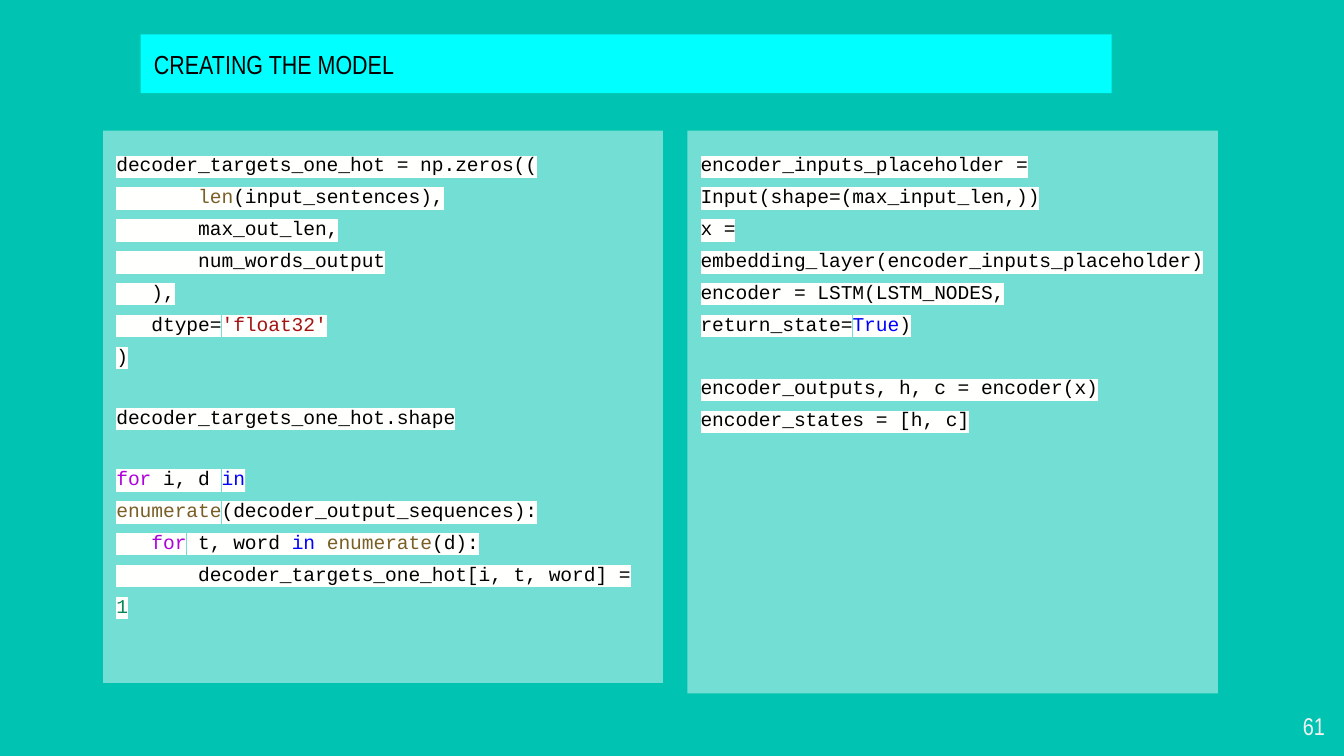
import pptx
import pptx.dml.color
import pptx.enum.shapes
import pptx.enum.text
import pptx.util
from lxml import etree
from pptx.oxml.ns import qn

Cm = pptx.util.Cm
Pt = pptx.util.Pt
ANCHOR = pptx.enum.text.MSO_ANCHOR
ALIGN = pptx.enum.text.PP_ALIGN

COLORS = {
    "background": "00C3B1", "banner": "00FFFF", "panel": "FFFFFF",
    "highlight": "FFFFFE", "number": "F3F3F3", "text": "000000",
    "function": "795E26", "string": "A31515", "loop": "AF00DB",
    "keyword": "0000FF", "literal": "09885A",
}
HEADING_FONT = "Arial Narrow"
CODE_FONT = "Courier New"

# Each block is a list of lines; a line is a string or a list of pieces,
# and a piece is a string or a (string, colour key) pair.
DECODER_BLOCKS = [
    [
        "decoder_targets_one_hot = np.zeros((",
        ["       ", ("len", "function"), "(input_sentences),"],
        "       max_out_len,",
        "       num_words_output",
        "   ),",
        ["   dtype=", ("'float32'", "string")],
        ")",
    ],
    ["decoder_targets_one_hot.shape"],
    [
        [("for", "loop"), " i, d ", ("in", "keyword"), " ",
         ("enumerate", "function"), "(decoder_output_sequences):"],
        ["   ", ("for", "loop"), " t, word ", ("in", "keyword"), " ",
         ("enumerate", "function"), "(d):"],
        ["       decoder_targets_one_hot[i, t, word] = ", ("1", "literal")],
    ],
]
ENCODER_BLOCKS = [
    [
        "encoder_inputs_placeholder = Input(shape=(max_input_len,))",
        "x = embedding_layer(encoder_inputs_placeholder)",
        ["encoder = LSTM(LSTM_NODES, return_state=", ("True", "keyword"), ")"],
    ],
    [
        "encoder_outputs, h, c = encoder(x)",
        "encoder_states = [h, c]",
    ],
]


def rgb(key):
    return pptx.dml.color.RGBColor.from_string(COLORS[key])


def set_frame(tf, anchor):
    tf.word_wrap = True
    tf.vertical_anchor = anchor
    tf.margin_left = tf.margin_right = Cm(0.25)
    tf.margin_top = tf.margin_bottom = Cm(0.25)


def add_rect(slide, box, color):
    sp = slide.shapes.add_shape(
        pptx.enum.shapes.MSO_SHAPE.RECTANGLE, *map(Cm, box))
    sp.shadow.inherit = False
    sp.fill.solid()
    sp.fill.fore_color.rgb = rgb(color)
    sp.line.fill.background()
    return sp


def set_label(sp, text, size, color, align):
    set_frame(sp.text_frame, ANCHOR.MIDDLE)
    p = sp.text_frame.paragraphs[0]
    p.text = text
    p.alignment = align
    font = p.runs[0].font
    font.size = Pt(size)
    font.name = HEADING_FONT
    font.color.rgb = rgb(color)


def add_code_run(p, text, color):
    r = p.add_run()
    r.text = text
    r.font.size = Pt(10.5)
    r.font.color.rgb = rgb(color)
    highlight = etree.SubElement(r.font._element, qn("a:highlight"))
    etree.SubElement(highlight, qn("a:srgbClr"), val=COLORS["highlight"])
    r.font.name = CODE_FONT


def add_title(slide, box):
    sp = add_rect(slide, box, "banner")
    set_label(sp, "CREATING THE MODEL", 14, "text", ALIGN.LEFT)


def add_code_panel(slide, box, blocks, gap):
    """Place a translucent panel of code, with gap points between blocks."""
    sp = add_rect(slide, box, "panel")
    fill = sp._element.spPr.find(qn("a:solidFill"))
    etree.SubElement(fill[0], qn("a:alpha"), val="45000")
    tf = sp.text_frame
    set_frame(tf, ANCHOR.TOP)
    p = None
    for block in blocks:
        for i, line in enumerate(block):
            first = p is None
            p = tf.paragraphs[0] if first else tf.add_paragraph()
            p.alignment = ALIGN.LEFT
            p.line_spacing = 1.36
            p.space_before = Pt(gap if i == 0 and not first else 0)
            for piece in [line] if isinstance(line, str) else line:
                text, color = (piece, "text") if isinstance(piece, str) else piece
                add_code_run(p, text, color)


def add_slide_number(slide, box):
    sp = slide.shapes.add_textbox(*map(Cm, box))
    set_label(sp, "61", 13, "number", ALIGN.RIGHT)


def main():
    prs = pptx.Presentation()
    prs.slide_width, prs.slide_height = Cm(25.4), Cm(14.29)
    slide = prs.slides.add_slide(prs.slide_layouts[6])
    slide.background.fill.solid()
    slide.background.fill.fore_color.rgb = rgb("background")

    add_code_panel(slide, (1.95, 2.47, 10.58, 10.44), DECODER_BLOCKS, 15.7)
    add_slide_number(slide, (23.77, 13.18, 1.52, 1.09))
    add_code_panel(slide, (12.99, 2.47, 10.03, 10.64), ENCODER_BLOCKS, 17)
    add_title(slide, (2.66, 0.65, 18.35, 1.11))
    prs.save("out.pptx")


if __name__ == "__main__":
    main()
